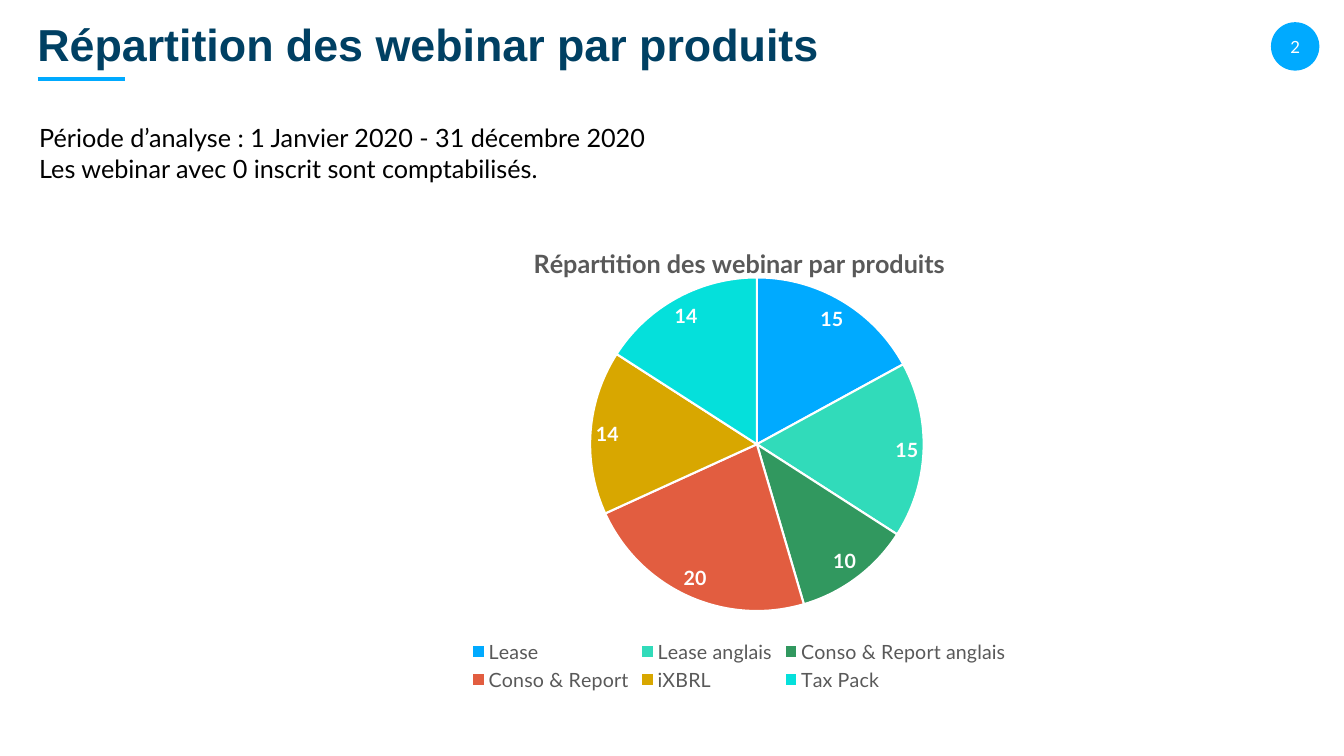
"""Build the slide showing how webinars are split by product."""
from lxml import etree
from pptx import Presentation
from pptx.chart.data import CategoryChartData
from pptx.dml.color import RGBColor
from pptx.enum.chart import XL_CHART_TYPE as CT, XL_LABEL_POSITION as LP, XL_LEGEND_POSITION as LEG
from pptx.enum.shapes import MSO_CONNECTOR as CONN, MSO_SHAPE as SHAPE
from pptx.enum.text import MSO_ANCHOR as ANCHOR, PP_ALIGN as ALIGN
from pptx.oxml.ns import qn
from pptx.util import Cm, Pt

BLUE = RGBColor(0x00, 0xAA, 0xFF)
NAVY = RGBColor(0x00, 0x40, 0x63)
GREY = RGBColor(0x59, 0x59, 0x59)
BLACK = RGBColor(0x00, 0x00, 0x00)
WHITE = RGBColor(0xFF, 0xFF, 0xFF)
MINT = RGBColor(0x31, 0xDB, 0xBA)
GREEN = RGBColor(0x31, 0x98, 0x5F)
RED = RGBColor(0xE2, 0x5D, 0x40)
GOLD = RGBColor(0xD8, 0xA7, 0x00)
CYAN = RGBColor(0x05, 0xE0, 0xDB)

TITLE = "Répartition des webinar par produits"
PERIOD = (
    "Période d’analyse : 1 Janvier 2020 - 31 décembre 2020",
    "Les webinar avec 0 inscrit sont comptabilisés.",
)
PRODUCTS = (
    ("Lease", 15, BLUE),
    ("Lease anglais", 15, MINT),
    ("Conso & Report anglais", 10, GREEN),
    ("Conso & Report", 20, RED),
    ("iXBRL", 14, GOLD),
    ("Tax Pack", 14, CYAN),
)
PLOT_LAYOUT = {
    "layoutTarget": "inner", "xMode": "edge", "yMode": "edge",
    "x": 0.33, "y": 0.11, "w": 0.38, "h": 0.71,
}


def set_font(font, size, color, bold=False, name="Lato"):
    """Apply a typeface, size, colour and weight to a font."""
    font.name, font.size, font.bold = name, Pt(size), bold
    font.color.rgb = color


def add_text(s, box, *lines, size=18, color=BLACK, bold=False, name="Lato",
             align=ALIGN.LEFT, anchor=ANCHOR.TOP, spacing=1.0):
    """Add a text box with one paragraph per line."""
    tf = s.shapes.add_textbox(*map(Cm, box)).text_frame
    tf.word_wrap = True
    tf.vertical_anchor = anchor
    for i, line in enumerate(lines):
        p = tf.add_paragraph() if i else tf.paragraphs[0]
        p.alignment, p.line_spacing = align, spacing
        r = p.add_run()
        r.text = line
        set_font(r.font, size, color, bold, name)


def add_disc(s, box, color):
    """Add a plain filled ellipse."""
    sp = s.shapes.add_shape(SHAPE.OVAL, *map(Cm, box))
    sp.shadow.inherit = False
    sp.fill.solid()
    sp.fill.fore_color.rgb = color
    sp.line.fill.background()


def add_rule(s, ends, color, width):
    """Add a straight line without a shadow."""
    line = s.shapes.add_connector(CONN.STRAIGHT, *map(Cm, ends))
    line.line.color.rgb = color
    line.line.width = Pt(width)
    etree.SubElement(line._element.spPr, qn("a:effectLst"))


def place_plot(chart):
    """Fix the position of the plot area inside the chart."""
    area = chart._chartSpace.chart.plotArea
    for old in area.findall(qn("c:layout")):
        area.remove(old)
    layout = etree.Element(qn("c:layout"))
    manual = etree.SubElement(layout, qn("c:manualLayout"))
    for tag, value in PLOT_LAYOUT.items():
        etree.SubElement(manual, qn(f"c:{tag}")).set("val", str(value))
    area.insert(0, layout)


def add_pie(s, box, title, slices):
    """Add a pie chart with a title, value labels and a bottom legend."""
    names, values, colors = zip(*slices)
    data = CategoryChartData()
    data.categories = names
    data.add_series(title, values)
    chart = s.shapes.add_chart(CT.PIE, *map(Cm, box), data).chart
    set_font(chart.font, 10, BLACK)

    chart.has_title = True
    p = chart.chart_title.text_frame.paragraphs[0]
    r = p.add_run()
    r.text = title
    set_font(r.font, 18, GREY, bold=True)

    chart.has_legend = True
    chart.legend.position = LEG.BOTTOM
    chart.legend.include_in_layout = False
    set_font(chart.legend.font, 14, GREY)

    plot = chart.plots[0]
    plot.vary_by_categories = True
    plot.has_data_labels = True
    labels = plot.data_labels
    labels.show_value, labels.show_percentage = True, False
    labels.position = LP.BEST_FIT
    set_font(labels.font, 14, WHITE, bold=True)
    for i, color in enumerate(colors):
        fmt = plot.series[0].points[i].format
        fmt.fill.solid()
        fmt.fill.fore_color.rgb = color
        fmt.line.color.rgb = WHITE
        fmt.line.width = Pt(1.5)
    place_plot(chart)


def main():
    """Create the presentation and save it."""
    prs = Presentation()
    prs.slide_width, prs.slide_height = Cm(33.87), Cm(19.05)
    s = prs.slides.add_slide(prs.slide_layouts[6])
    add_disc(s, (32.03, 0.56, 1.22, 1.22), BLUE)
    add_text(s, (31.65, 0.66, 1.98, 1.02), "2", size=12, color=WHITE,
             align=ALIGN.CENTER, anchor=ANCHOR.MIDDLE)
    add_rule(s, (0.95, 2, 3.15, 2), BLUE, 3)
    add_text(s, (0.69, 0.33, 30.96, 1.73), TITLE, size=32, color=NAVY, bold=True,
             name="Arial", anchor=ANCHOR.MIDDLE, spacing=0.9)
    add_text(s, (0.74, 2.97, 31.9, 1.8), *PERIOD)
    add_pie(s, (7.49, 5.69, 22.28, 11.84), TITLE, PRODUCTS)
    prs.save("out.pptx")


if __name__ == "__main__":
    main()
